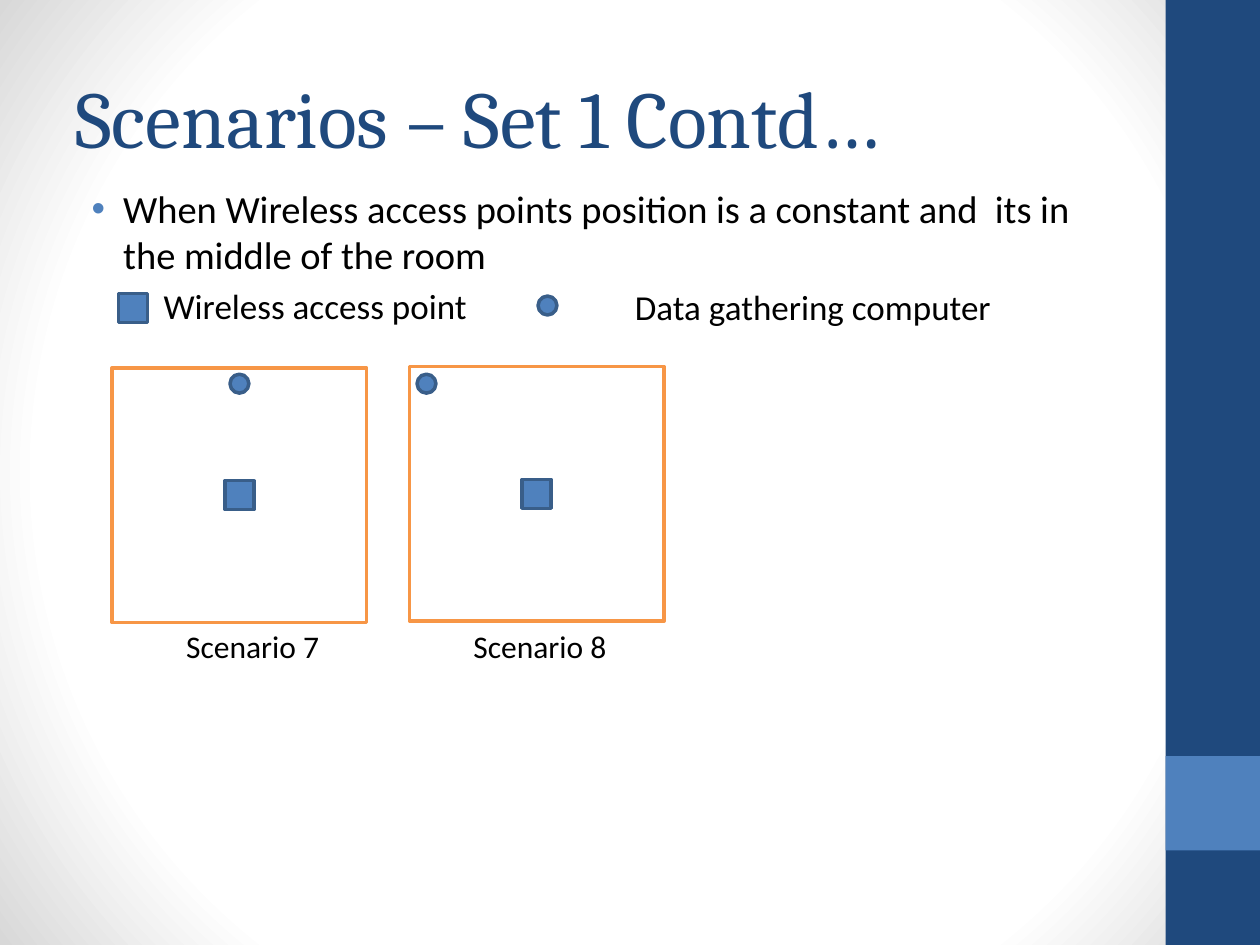
from dataclasses import dataclass
from typing import Any

import pptx
import pptx.dml.color
import pptx.enum.shapes
import pptx.enum.text
import pptx.oxml
import pptx.oxml.ns
import pptx.util

COLORS = {
    "navy": "1F497D", "blue": "4F81BD", "edge": "395E89", "orange": "F79646",
    "white": "FFFFFF", "gray": "D8D8D8", "black": "000000",
}
RECT = pptx.enum.shapes.MSO_SHAPE.RECTANGLE
OVAL = pptx.enum.shapes.MSO_SHAPE.OVAL
COLUMNS = 10
ROOM, ACCESS, COMPUTER = 2.02, 0.23, 0.15


@dataclass
class Box:
    x: float
    y: float
    w: float
    h: float

    def emu(self) -> list[int]:
        return [grid(v) for v in (self.x, self.y, self.w, self.h)]


@dataclass
class Room:
    label: str
    label_x: float
    x: float
    y: float
    computer_dx: float
    computer_dy: float


ROOMS = [
    Room("Scenario 7", 1.38, 0.89, 2.92, (ROOM - COMPUTER) / 2, 0.05),
    Room("Scenario 8", 3.66, 3.25, 2.91, 0.06, 0.06),
]

prs = pptx.Presentation()
prs.slide_width = pptx.util.Inches(10)
prs.slide_height = pptx.util.Inches(7.5)


def grid(cells: float) -> int:
    return round(prs.slide_width * cells / COLUMNS)


def rgb(name: str) -> pptx.dml.color.RGBColor:
    return pptx.dml.color.RGBColor.from_string(COLORS[name])


def add_background(s: Any) -> None:
    stops = "".join(
        f'<a:gs pos="{pos}"><a:srgbClr val="{COLORS[name]}"/></a:gs>'
        for pos, name in ((0, "white"), (75000, "white"), (100000, "gray"))
    )
    bg = pptx.oxml.parse_xml(
        f'<p:bg {pptx.oxml.ns.nsdecls("p", "a")}><p:bgPr><a:gradFill rotWithShape="1">'
        f'<a:gsLst>{stops}</a:gsLst><a:path path="circle">'
        '<a:fillToRect l="50000" t="50000" r="50000" b="50000"/></a:path>'
        '</a:gradFill><a:effectLst/></p:bgPr></p:bg>'
    )
    s.element.cSld.insert(0, bg)


def add_shape(shapes: Any, kind: Any, box: Box, fill: str, line: str | None = None) -> None:
    sp = shapes.add_shape(kind, *box.emu())
    sp.shadow.inherit = False
    sp.fill.solid()
    sp.fill.fore_color.rgb = rgb(fill)
    if line:
        sp.line.color.rgb = rgb(line)
        sp.line.width = pptx.util.Pt(2)
    else:
        sp.line.fill.background()


def add_access_point(shapes: Any, x: float, y: float) -> None:
    add_shape(shapes, RECT, Box(x, y, ACCESS, ACCESS), "blue", "edge")


def add_computer(shapes: Any, x: float, y: float) -> None:
    add_shape(shapes, OVAL, Box(x, y, COMPUTER, COMPUTER), "blue", "edge")


def add_text_box(shapes: Any, box: Box) -> Any:
    tf = shapes.add_textbox(*box.emu()).text_frame
    tf.word_wrap = True
    return tf


def add_run(p: Any, text: str, size: float, font: str = "Calibri", color: str = "black") -> None:
    r = p.add_run()
    r.text = text
    r.font.size = pptx.util.Pt(size)
    r.font.name = font
    r.font.color.rgb = rgb(color)


def set_indent(p: Any, left: float, hanging: float = 0) -> Any:
    pPr = p._p.get_or_add_pPr()
    pPr.set("marL", str(grid(left)))
    pPr.set("indent", str(-grid(hanging)))
    return pPr


def add_bullet(pPr: Any, color: str) -> None:
    ns = pptx.oxml.ns.nsdecls("a")
    for xml in (
        f'<a:buClr {ns}><a:srgbClr val="{COLORS[color]}"/></a:buClr>',
        f'<a:buFont {ns} typeface="Arial"/>',
        f'<a:buChar {ns} char="•"/>',
    ):
        pPr.append(pptx.oxml.parse_xml(xml))


def add_title(s: Any) -> None:
    sp = s.shapes.title
    sp.left, sp.top, sp.width, sp.height = Box(0.5, 0.3, 8.33, 1.25).emu()
    tf = sp.text_frame
    tf.vertical_anchor = pptx.enum.text.MSO_ANCHOR.MIDDLE
    p = tf.paragraphs[0]
    p.alignment = pptx.enum.text.PP_ALIGN.LEFT
    add_run(p, "Scenarios – Set 1 Contd…", 46, "Cambria", "navy")


def add_body(s: Any) -> None:
    tf = add_text_box(s.shapes, Box(0.5, 1.42, 8.33, 5.58))
    p = tf.paragraphs[0]
    add_bullet(set_indent(p, 0.38, 0.25), "blue")
    add_run(p, "When Wireless access points position is a constant and  its in "
               "the middle of the room", 22)
    p = tf.add_paragraph()
    p.space_before = pptx.util.Pt(4)
    set_indent(p, 0.7)
    add_run(p, "Wireless access point", 20)


def add_legend(s: Any) -> None:
    tf = add_text_box(s.shapes, Box(4.94, 2.22, 3.5, 0.44))
    add_run(tf.paragraphs[0], "Data gathering computer", 20)
    add_access_point(s.shapes, 0.94, 2.33)
    add_computer(s.shapes, 4.27, 2.35)


def add_rooms(s: Any) -> None:
    shapes = s.shapes.add_group_shape().shapes
    center = (ROOM - ACCESS) / 2
    for room in ROOMS:
        tf = add_text_box(shapes, Box(room.label_x, 4.93, 1.5, 0.4))
        add_run(tf.paragraphs[0], room.label, 18)
        add_shape(shapes, RECT, Box(room.x, room.y, ROOM, ROOM), "white", "orange")
        add_computer(shapes, room.x + room.computer_dx, room.y + room.computer_dy)
        add_access_point(shapes, room.x + center, room.y + center)


def main() -> None:
    s = prs.slides.add_slide(prs.slide_layouts[5])
    add_background(s)
    add_shape(s.shapes, RECT, Box(9.25, 0, 0.75, 7.5), "navy")
    add_shape(s.shapes, RECT, Box(9.25, 6, 0.75, 0.75), "blue")
    add_title(s)
    add_body(s)
    add_legend(s)
    add_rooms(s)
    prs.save("out.pptx")


if __name__ == "__main__":
    main()
